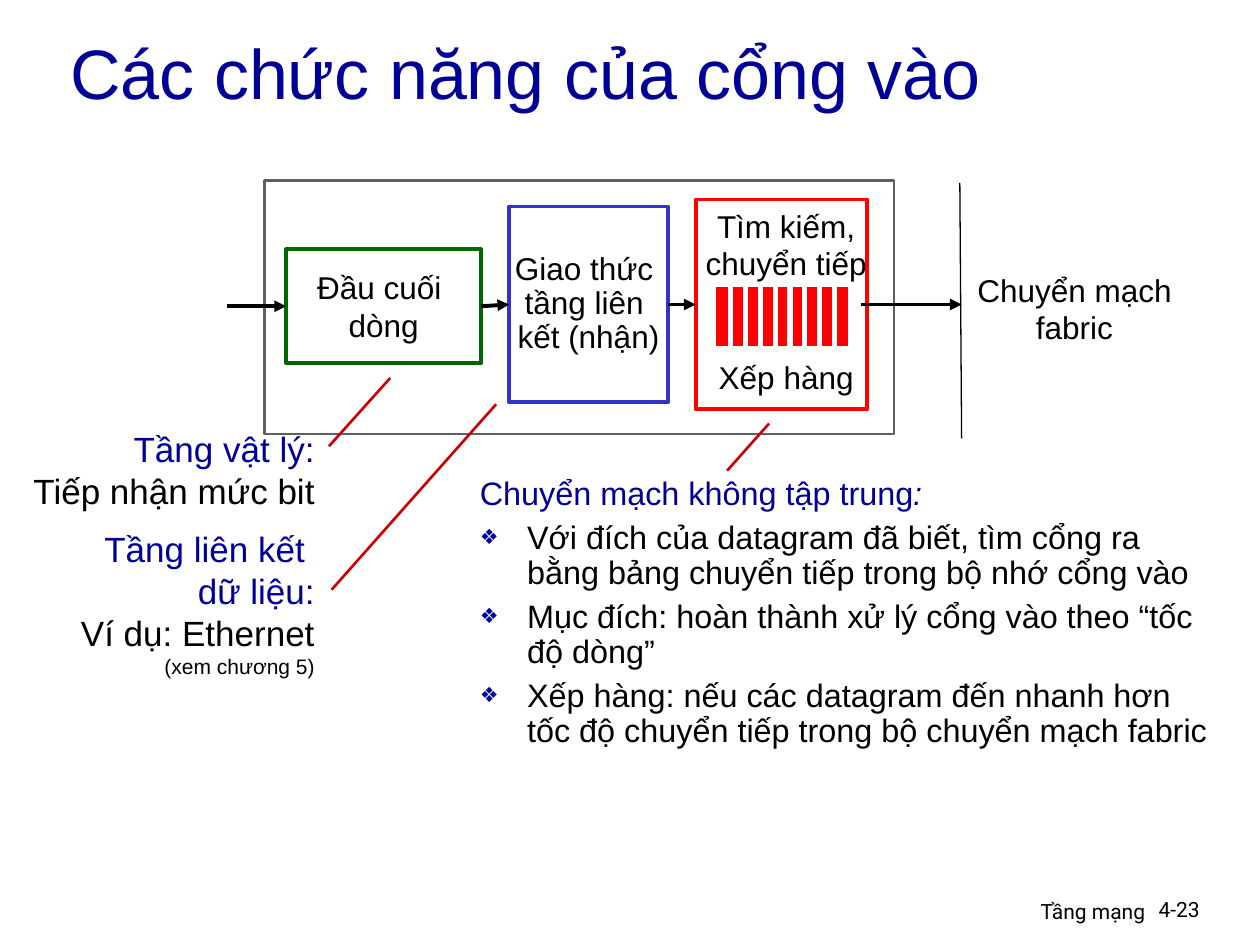
from dataclasses import dataclass
from typing import NamedTuple, Optional

from lxml import etree
from pptx import Presentation
from pptx.dml.color import RGBColor
from pptx.enum import shapes, text
from pptx.oxml import ns
from pptx.util import Pt


@dataclass(frozen=True)
class Theme:
    navy: str = "000099"
    black: str = "000000"
    white: str = "FFFFFF"
    gray: str = "5F5F5F"
    green: str = "006600"
    blue: str = "3333CC"
    red: str = "FF0000"
    pointer: str = "CC0000"
    font: str = "Arial"
    footer_font: str = "Roboto"
    title: float = 40
    callout: float = 20
    body: float = 18.5
    label: float = 18
    small: float = 12


T = Theme()
LEFT, CENTER, RIGHT = text.PP_ALIGN.LEFT, text.PP_ALIGN.CENTER, text.PP_ALIGN.RIGHT
TOP, MIDDLE = text.MSO_ANCHOR.TOP, text.MSO_ANCHOR.MIDDLE


class Box(NamedTuple):
    x: float
    y: float
    w: float
    h: float


class Run(NamedTuple):
    words: str
    size: float = T.label
    color: str = T.black
    font: str = T.font
    italic: bool = False


class Stage(NamedTuple):
    box: Box
    color: str
    lines: tuple = ()
    spacing: float = 1.0
    width: float = 2.25


class Label(NamedTuple):
    box: Box
    lines: tuple
    align: int = CENTER
    anchor: int = TOP
    wrap: bool = False


class Line(NamedTuple):
    x1: float
    y1: float
    x2: float
    y2: float
    color: str = T.black
    width: float = 2.25
    arrow: bool = False
    start: Optional[str] = None
    end: Optional[str] = None


STAGES = {
    "port": Stage(Box(151, 103, 360, 145), T.gray, width=1.5),
    "line": Stage(Box(163.5, 142.5, 111.5, 65), T.green, (Run("Đầu cuối "), Run("dòng"))),
    "link": Stage(Box(291, 118, 90.5, 112), T.blue,
                  (Run("Giao thức "), Run("tầng liên "), Run("kết (nhận)")), 0.9),
    "lookup": Stage(Box(397.5, 114, 98, 120), T.red),
}

LINES = (
    Line(129.5, 175, 163.5, 175, arrow=True, end="line"),
    Line(275, 175, 291, 174, arrow=True, start="line", end="link"),
    Line(381.5, 174, 397.5, 174, arrow=True, start="link", end="lookup"),
    Line(492, 174, 549.5, 174, arrow=True),
    Line(548.5, 104.5, 549.5, 250.5, width=0.75),
    Line(188, 255, 223, 216, T.pointer, 1.5),
    Line(189.5, 337, 283.5, 231, T.pointer, 1.5),
    Line(415.5, 269, 439.5, 242, T.pointer, 1.5),
)

LABELS = (
    Label(Box(396, 114.5, 106.5, 51), (Run("Tìm kiếm,"), Run("chuyển tiếp"))),
    Label(Box(396, 201, 106.5, 29), (Run("Xếp hàng"),)),
    Label(Box(572.5, 143.5, 83, 65.5), (Run("Chuyển mạch"), Run("fabric")), anchor=MIDDLE),
    Label(Box(0, 240.5, 187, 55.5),
          (Run("Tầng vật lý:", T.callout, T.navy), Run("Tiếp nhận mức bit", T.callout)),
          RIGHT, wrap=True),
    Label(Box(0, 298, 187, 94),
          (Run("Tầng liên kết ", T.callout, T.navy), Run("dữ liệu:", T.callout, T.navy),
           Run("Ví dụ: Ethernet", T.callout), Run("(xem chương 5)", T.small)),
          RIGHT, wrap=True),
    Label(Box(433.5, 510, 228, 22), (Run("Tầng mạng", T.small, font=T.footer_font),),
          RIGHT, wrap=True),
    Label(Box(655, 509, 53.5, 22), (Run("4-23", T.small, font=T.footer_font),),
          LEFT, wrap=True),
)

BULLETS = (
    "Với đích của datagram đã biết, tìm cổng ra bằng bảng chuyển tiếp trong bộ nhớ cổng vào",
    "Mục đích: hoàn thành xử lý cổng vào theo “tốc độ dòng”",
    "Xếp hàng: nếu các datagram đến nhanh hơn tốc độ chuyển tiếp trong bộ chuyển mạch fabric",
)


def rgb(color: str) -> RGBColor:
    return RGBColor.from_string(color)


def pts(values) -> list:
    return [Pt(v) for v in values]


def add_run(p, run: Run) -> None:
    r = p.add_run()
    r.text = run.words
    f = r.font
    f.name, f.size, f.italic = run.font, Pt(run.size), run.italic
    f.color.rgb = rgb(run.color)


def write(tf, rows, align=LEFT, anchor=TOP, wrap=True, spacing=1.0, before=0) -> None:
    tf.word_wrap, tf.vertical_anchor = wrap, anchor
    tf.auto_size = text.MSO_AUTO_SIZE.NONE
    for i, runs in enumerate(rows):
        p = tf.add_paragraph() if i else tf.paragraphs[0]
        p.alignment, p.line_spacing, p.space_before = align, spacing, Pt(before)
        for run in runs:
            add_run(p, run)


def add_rect(parent, box: Box, fill: str, color: str, width: float):
    sp = parent.add_shape(shapes.MSO_SHAPE.RECTANGLE, *pts(box))
    sp.shadow.inherit = False
    sp.fill.solid()
    sp.fill.fore_color.rgb = rgb(fill)
    sp.line.color.rgb = rgb(color)
    sp.line.width = Pt(width)
    return sp


def add_stage(parent, stage: Stage):
    sp = add_rect(parent, stage.box, T.white, stage.color, stage.width)
    if stage.lines:
        write(sp.text_frame, [(r,) for r in stage.lines], CENTER, MIDDLE, False, stage.spacing)
    return sp


def add_line(parent, line: Line, stages: dict) -> None:
    cx = parent.add_connector(shapes.MSO_CONNECTOR.STRAIGHT, *pts(line[:4]))
    cx.line.color.rgb = rgb(line.color)
    cx.line.width = Pt(line.width)
    if line.start:
        cx.begin_connect(stages[line.start], 3)
    if line.end:
        cx.end_connect(stages[line.end], 1)
    sppr = cx._element.spPr
    if line.arrow:
        etree.SubElement(sppr.find(ns.qn("a:ln")), ns.qn("a:tailEnd"), type="triangle")
    etree.SubElement(sppr, ns.qn("a:effectLst"))


def add_label(parent, label: Label) -> None:
    tf = parent.add_textbox(*pts(label.box)).text_frame
    write(tf, [(r,) for r in label.lines], label.align, label.anchor, label.wrap)


def add_queue(parent, box: Box, first: float, step: float, count: int) -> None:
    group = parent.add_group_shape().shapes
    add_rect(group, box, T.red, T.white, 3)
    for i in range(count):
        x = first + i * step
        add_line(group, Line(x, box.y, x, box.y + 35.5, T.white, 3), {})


def place(sp, box: Box):
    sp.left, sp.top, sp.width, sp.height = pts(box)
    return sp.text_frame


def set_bullet(p, char: Optional[str]) -> None:
    ppr = p._p.get_or_add_pPr()
    ppr.set("marL", str(Pt(27)))
    ppr.set("indent", str(-Pt(27)))
    if not char:
        etree.SubElement(ppr, ns.qn("a:buNone"))
        return
    clr = etree.SubElement(ppr, ns.qn("a:buClr"))
    etree.SubElement(clr, ns.qn("a:srgbClr"), val=T.navy)
    etree.SubElement(ppr, ns.qn("a:buSzPct"), val="65000")
    etree.SubElement(ppr, ns.qn("a:buChar"), char=char)


def main() -> None:
    prs = Presentation()
    prs.slide_width, prs.slide_height = Pt(720), Pt(540)
    s = prs.slides.add_slide(prs.slide_layouts[1])
    write(place(s.shapes.title, Box(33, 23, 612, 35.5)),
          [(Run("Các chức năng của cổng vào", T.title, T.navy),)], anchor=MIDDLE)
    tf = place(s.placeholders[1], Box(267, 269.5, 430, 210))
    heading = (Run("Chuyển mạch không tập trung", T.body, T.navy),
               Run(":", T.body, T.navy, italic=True))
    write(tf, [heading] + [(Run(b, T.body),) for b in BULLETS], spacing=0.9, before=5)
    for i, p in enumerate(tf.paragraphs):
        set_bullet(p, "❖" if i else None)
    stages = {name: add_stage(s.shapes, stage) for name, stage in STAGES.items()}
    for line in LINES:
        add_line(s.shapes, line, stages)
    add_queue(s.shapes, Box(407.5, 162.5, 78.5, 37), 417.6, 8.45, 8)
    for label in LABELS:
        add_label(s.shapes, label)
    prs.save("out.pptx")


if __name__ == "__main__":
    main()
